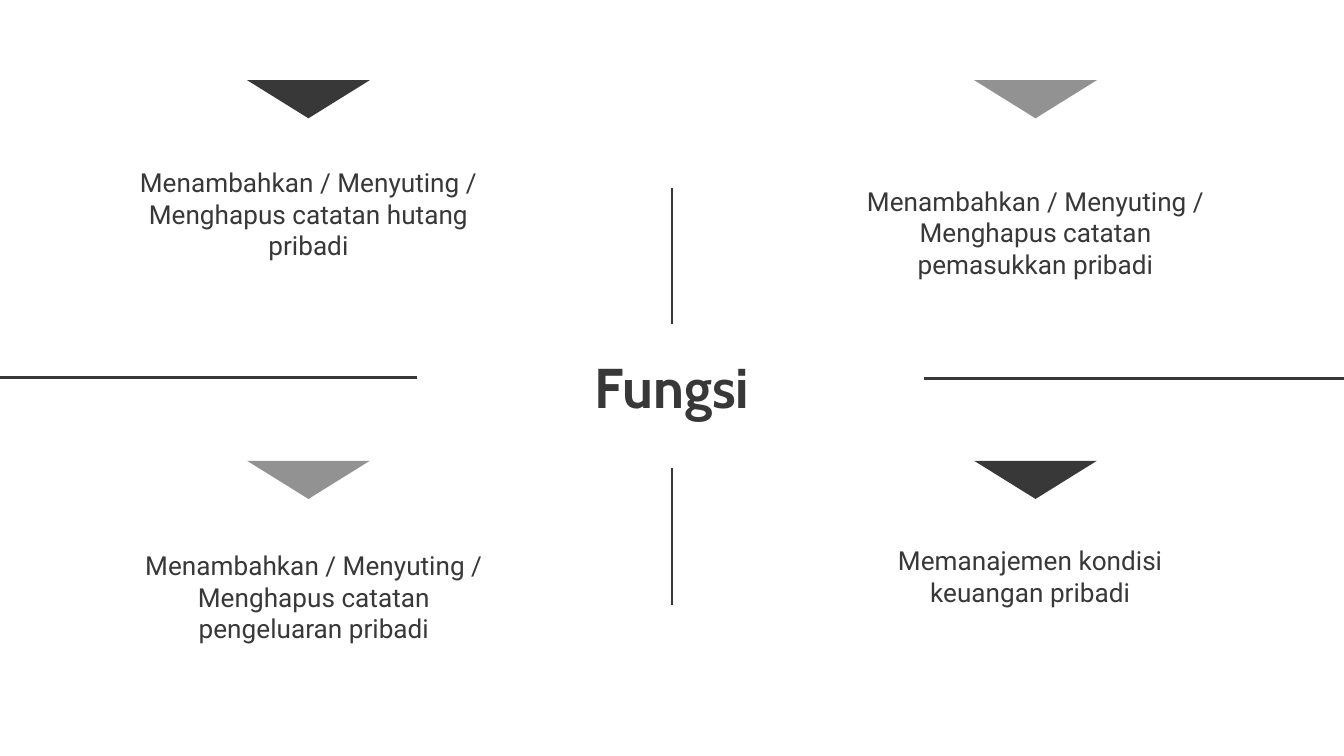
"""Build the four-quadrant slide on the functions of a personal finance app."""
from dataclasses import dataclass

from lxml.etree import SubElement
from pptx import Presentation
from pptx.dml.color import RGBColor
from pptx.enum.shapes import MSO_CONNECTOR, MSO_SHAPE
from pptx.enum.text import MSO_ANCHOR, PP_ALIGN
from pptx.oxml.ns import qn
from pptx.util import Inches, Pt

WIDTH = Inches(10)
HEIGHT = WIDTH * 9 // 16


@dataclass(frozen=True)
class Theme:
    dark: RGBColor = RGBColor(0x38, 0x38, 0x38)
    grey: RGBColor = RGBColor(0x92, 0x92, 0x92)
    paper: RGBColor = RGBColor(0xFF, 0xFF, 0xFF)
    heading_font: str = "Cabin"
    body_font: str = "Roboto"
    heading_size: int = 30
    body_size: int = 14
    rule_width: float = 1.5


THEME = Theme()
LEFT_COLUMN, RIGHT_COLUMN = 22.95, 77.05
UPPER_ROW, LOWER_ROW = 10.6, 60.95
QUADRANTS = [
    (LEFT_COLUMN, UPPER_ROW, THEME.dark, 0, 9.66,
     "Menambahkan / Menyuting / Menghapus catatan hutang pribadi"),
    (LEFT_COLUMN, LOWER_ROW, THEME.grey, 0.4, 10,
     "Menambahkan / Menyuting / Menghapus catatan pengeluaran pribadi"),
    (RIGHT_COLUMN, UPPER_ROW, THEME.grey, 0, 12.13,
     "Menambahkan / Menyuting / Menghapus catatan pemasukkan pribadi"),
    (RIGHT_COLUMN, LOWER_ROW, THEME.dark, -0.4, 9.33,
     "Memanajemen kondisi keuangan pribadi"),
]
DIVIDERS = [
    (0, 49.9, 31, 49.9),
    (68.75, 50.03, 100, 50.03),
    (50, 61.87, 50, 80),
    (50, 24.89, 50, 42.84),
]


def across(percent):
    return round(WIDTH * percent / 100)


def down(percent):
    return round(HEIGHT * percent / 100)


def centred_box(centre, top, width, height):
    return across(centre - width / 2), down(top), across(width), down(height)


def add_label(slide, box, words, font_name, size, bold=False):
    frame = slide.shapes.add_textbox(*box).text_frame
    frame.word_wrap = True
    frame.vertical_anchor = MSO_ANCHOR.TOP
    frame.margin_left = frame.margin_right = Inches(0.1)
    frame.margin_top = frame.margin_bottom = Inches(0.1)
    paragraph = frame.paragraphs[0]
    paragraph.alignment = PP_ALIGN.CENTER
    run = paragraph.add_run()
    run.text = words
    run.font.name = font_name
    run.font.size = Pt(size)
    run.font.bold = bold
    run.font.color.rgb = THEME.dark


def add_pointer(slide, box, colour):
    pointer = slide.shapes.add_shape(MSO_SHAPE.ISOSCELES_TRIANGLE, *box)
    pointer.rotation = 180
    pointer.shadow.inherit = False
    pointer.fill.solid()
    pointer.fill.fore_color.rgb = colour
    pointer.line.fill.background()


def add_divider(slide, x1, y1, x2, y2):
    divider = slide.shapes.add_connector(
        MSO_CONNECTOR.STRAIGHT, across(x1), down(y1), across(x2), down(y2))
    divider.line.color.rgb = THEME.dark
    divider.line.width = Pt(THEME.rule_width)
    SubElement(divider.element.spPr, qn("a:effectLst"))


def add_quadrant(slide, column, row, colour, shift, drop, words):
    add_pointer(slide, centred_box(column, row, 9.14, 5.05), colour)
    add_label(slide, centred_box(column + shift, row + drop, 29.9, 15.64),
              words, THEME.body_font, THEME.body_size)


def main():
    deck = Presentation()
    deck.slide_width, deck.slide_height = WIDTH, HEIGHT
    slide = deck.slides.add_slide(deck.slide_layouts[6])
    slide.background.fill.solid()
    slide.background.fill.fore_color.rgb = THEME.paper
    for quadrant in QUADRANTS:
        add_quadrant(slide, *quadrant)
    for divider in DIVIDERS:
        add_divider(slide, *divider)
    add_label(slide, centred_box(50, 44.9, 69.7, 10.31), "Fungsi",
              THEME.heading_font, THEME.heading_size, bold=True)
    deck.save("out.pptx")


main()
